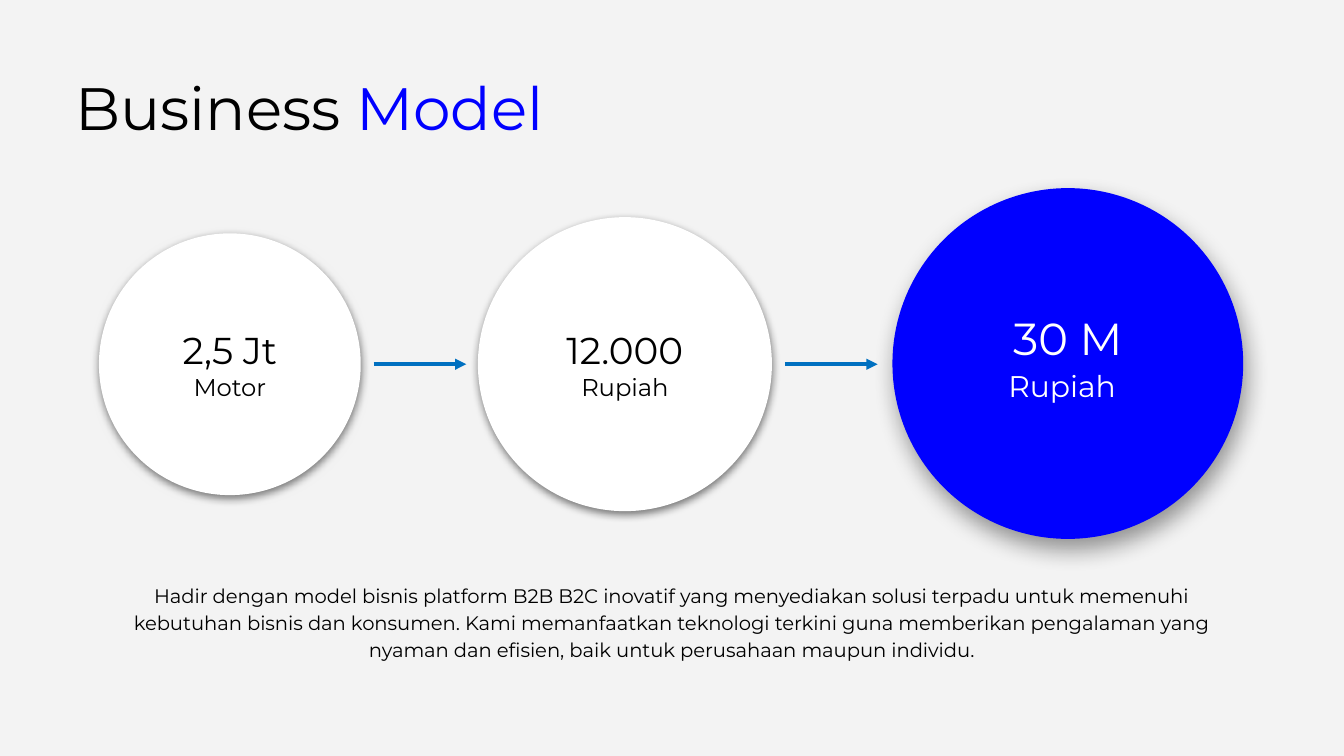
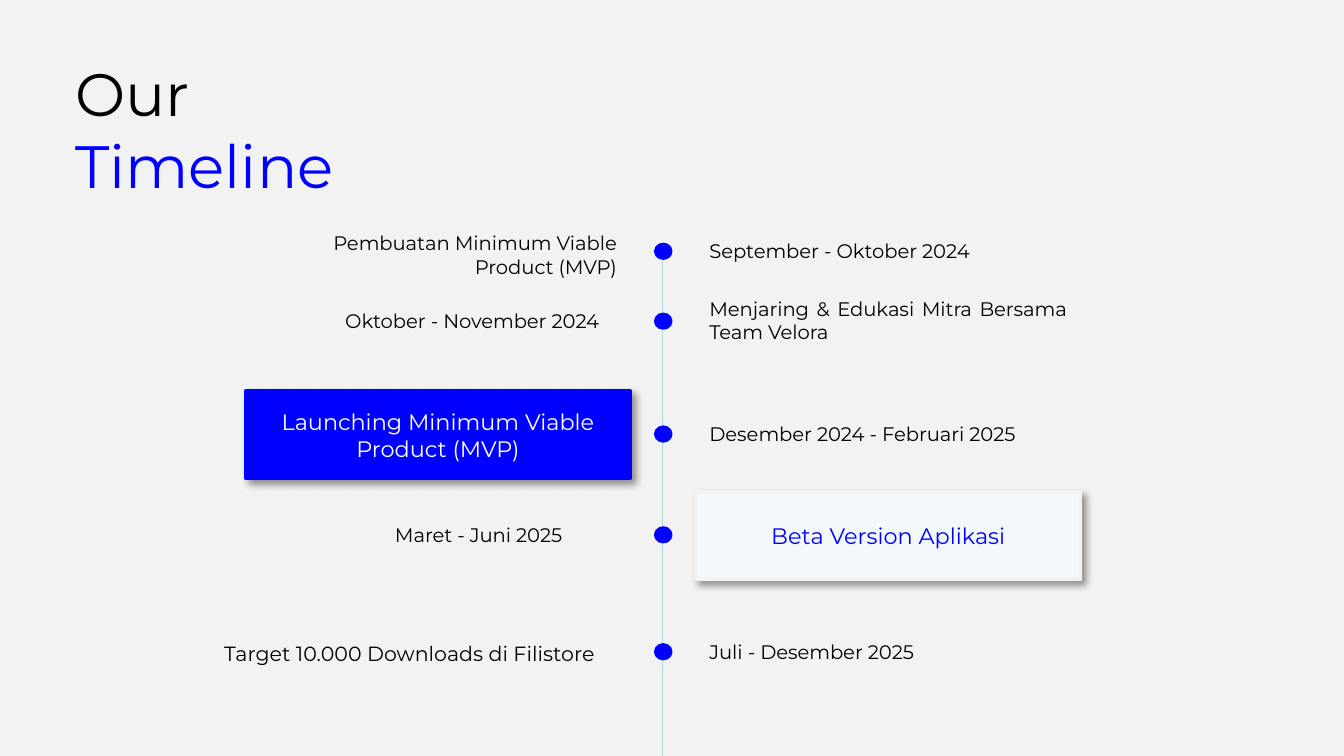
import pptx
import pptx.util
import pptx.dml.color
import pptx.enum.shapes
import pptx.enum.text
import pptx.oxml
import pptx.oxml.ns

PX = 9144
FONT = "Montserrat"
BLACK, WHITE, BLUE = "000000", "FFFFFF", "0000FF"
ARROW_BLUE, AXIS, PALE, GREY = "0070C0", "B5DADD", "F3F9FA", "F2F2F2"
SHAPE = pptx.enum.shapes.MSO_SHAPE
ALIGN = pptx.enum.text.PP_ALIGN
ANCHOR = pptx.enum.text.MSO_ANCHOR
SOFT = (50, 4.5, 1.5, 90)
DEEP = (40, 12.4, 6, 71)
CARD = (40, 4, 3, 45)


def px(*values):
    return [v * PX for v in values]


def rgb(color):
    return pptx.dml.color.RGBColor.from_string(color)


def write(tf, paragraphs, size=10.5, color=BLACK, align=ALIGN.LEFT,
          anchor=ANCHOR.TOP, spacing=None):
    tf.word_wrap = True
    tf.vertical_anchor = anchor
    for i, runs in enumerate(paragraphs):
        p = tf.paragraphs[0] if i == 0 else tf.add_paragraph()
        p.alignment = align
        p.line_spacing = spacing
        for text, style in runs:
            r = p.add_run()
            r.text = text
            r.font.name = FONT
            r.font.size = pptx.util.Pt(style.get("size", size))
            r.font.color.rgb = rgb(style.get("color", color))


def add_text(s, box, paragraphs, **fmt):
    write(s.shapes.add_textbox(*px(*box)).text_frame, paragraphs, **fmt)


def add_label(s, box, text, **fmt):
    add_text(s, box, [[(text, {})]], **fmt)


def add_title(s, box, paragraphs):
    add_text(s, box, paragraphs, size=32, anchor=ANCHOR.MIDDLE)


def add_shadow(sp, opacity, blur, dist, angle):
    sp._element.spPr.append(pptx.oxml.parse_xml(
        f'<a:effectLst {pptx.oxml.ns.nsdecls("a")}>'
        f'<a:outerShdw blurRad="{pptx.util.Pt(blur)}" dist="{pptx.util.Pt(dist)}" '
        f'dir="{angle * 60000}" algn="ctr" rotWithShape="0">'
        f'<a:srgbClr val="{BLACK}"><a:alpha val="{opacity * 1000}"/></a:srgbClr>'
        '</a:outerShdw></a:effectLst>'))


def add_figure(s, kind, box, fill, line=None, shadow=None):
    sp = s.shapes.add_shape(kind, *px(*box))
    sp.fill.solid()
    sp.fill.fore_color.rgb = rgb(fill)
    if line:
        sp.line.color.rgb = rgb(line)
        sp.line.width = pptx.util.Pt(2)
    else:
        sp.line.fill.background()
    if shadow:
        add_shadow(sp, *shadow)
    else:
        sp.shadow.inherit = False
    return sp


def add_circle(s, left, top, side, paragraphs, fill=WHITE, line=WHITE,
               shadow=SOFT, **fmt):
    sp = add_figure(s, SHAPE.OVAL, (left, top, side, side), fill, line, shadow)
    write(sp.text_frame, paragraphs, align=ALIGN.CENTER, anchor=ANCHOR.MIDDLE, **fmt)


def add_card(s, left, top, text, fill, line, color):
    sp = add_figure(s, SHAPE.RECTANGLE, (left, top, 286, 65), fill, line, CARD)
    write(sp.text_frame, [[(text, {})]], size=12, color=color,
          align=ALIGN.CENTER, anchor=ANCHOR.MIDDLE)


def add_line(s, ends, color, width, arrow=False):
    cx = s.shapes.add_connector(pptx.enum.shapes.MSO_CONNECTOR.STRAIGHT, *px(*ends))
    cx.line.color.rgb = rgb(color)
    cx.line.width = pptx.util.Pt(width)
    ns = pptx.oxml.ns.nsdecls("a")
    if arrow:
        cx.line._get_or_add_ln().append(
            pptx.oxml.parse_xml(f'<a:tailEnd {ns} type="triangle"/>'))
    cx._element.spPr.append(pptx.oxml.parse_xml(f'<a:effectLst {ns}/>'))


def add_slide(prs, background):
    s = prs.slides.add_slide(prs.slide_layouts[6])
    s.background.fill.solid()
    s.background.fill.fore_color.rgb = rgb(background)
    return s


def business_model(prs):
    s = add_slide(prs, "F3F3F3")
    add_title(s, (46, 40, 399, 79), [[("Business ", {}), ("Model", {"color": BLUE})]])
    for left, top, side, value, unit in [(75, 175, 192, "2,5 Jt", "Motor"),
                                         (357, 163, 216, "12.000", "Rupiah")]:
        add_circle(s, left, top, side, [[(value, {})], [(unit, {"size": 13})]], size=20)
    add_circle(s, 664, 140, 261,
               [[("30 M", {})], [("Rupiah", {"size": 16}), (" ", {"size": 23})]],
               fill=BLUE, line=None, shadow=DEEP, size=24, color=WHITE, spacing=0.8)
    for left in (278, 584):
        add_line(s, (left, 271, left + 69, 271), ARROW_BLUE, 2, arrow=True)
    add_label(s, (75, 427, 850, 87),
              "Hadir dengan model bisnis platform B2B B2C inovatif yang menyediakan "
              "solusi terpadu untuk memenuhi kebutuhan bisnis dan konsumen. Kami "
              "memanfaatkan teknologi terkini guna memberikan pengalaman yang nyaman "
              "dan efisien, baik untuk perusahaan maupun individu.",
              align=ALIGN.CENTER, spacing=1.15)


def timeline(prs):
    s = add_slide(prs, GREY)
    add_title(s, (46, 40, 352, 111), [[("Our", {})], [("Timeline", {"color": BLUE})]])
    add_line(s, (493, 191, 493, 563), AXIS, 0.75)
    for top in (182, 234, 318, 393, 480):
        add_figure(s, SHAPE.FLOWCHART_CONNECTOR, (488, top, 11, 10), BLUE, BLUE)

    left_edge, right_edge = 469, 518
    for top, width, height, text, fmt in [
            (167, 233, 40, "Pembuatan Minimum Viable Product (MVP)", {"align": ALIGN.RIGHT}),
            (225, 222, 28, "Oktober - November 2024", {}),
            (384, 185, 28, "Maret - Juni 2025", {}),
            (472, 312, 25, "Target 10.000 Downloads di Filistore",
             {"size": 11, "align": ALIGN.JUSTIFY})]:
        add_label(s, (left_edge - width, top, width, height), text, **fmt)
    for top, width, height, text, fmt in [
            (173, 246, 28, "September - Oktober 2024", {}),
            (216, 286, 48, "Menjaring & Edukasi Mitra Bersama Team Velora",
             {"align": ALIGN.JUSTIFY}),
            (309, 271, 28, "Desember 2024 - Februari 2025", {}),
            (471, 253, 28, "Juli - Desember 2025", {})]:
        add_label(s, (right_edge, top, width, height), text, **fmt)

    add_card(s, left_edge - 286, 291, "Launching Minimum Viable Product (MVP)",
             BLUE, BLUE, WHITE)
    add_card(s, right_edge, 366, "Beta Version Aplikasi", PALE, GREY, BLUE)


def main():
    prs = pptx.Presentation()
    prs.slide_width = pptx.util.Inches(10)
    prs.slide_height = prs.slide_width * 9 // 16
    business_model(prs)
    timeline(prs)
    prs.save("out.pptx")


if __name__ == "__main__":
    main()
